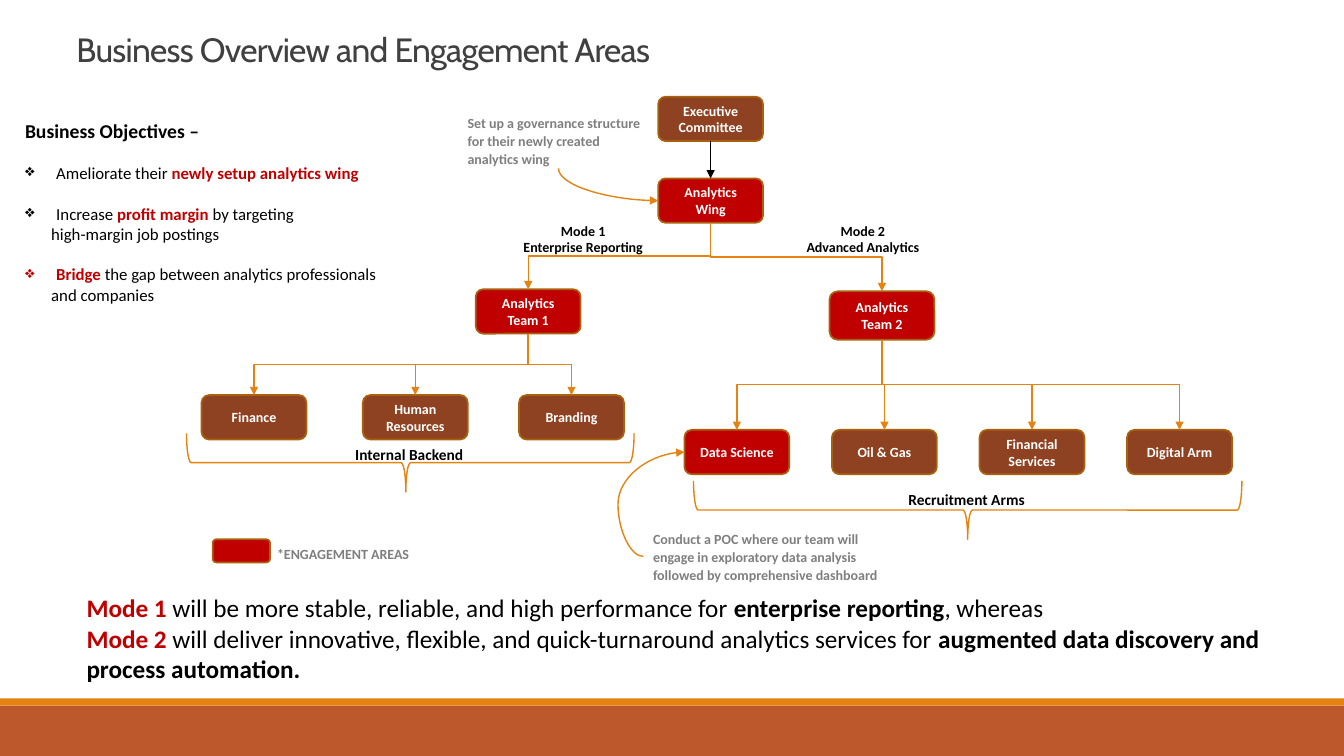
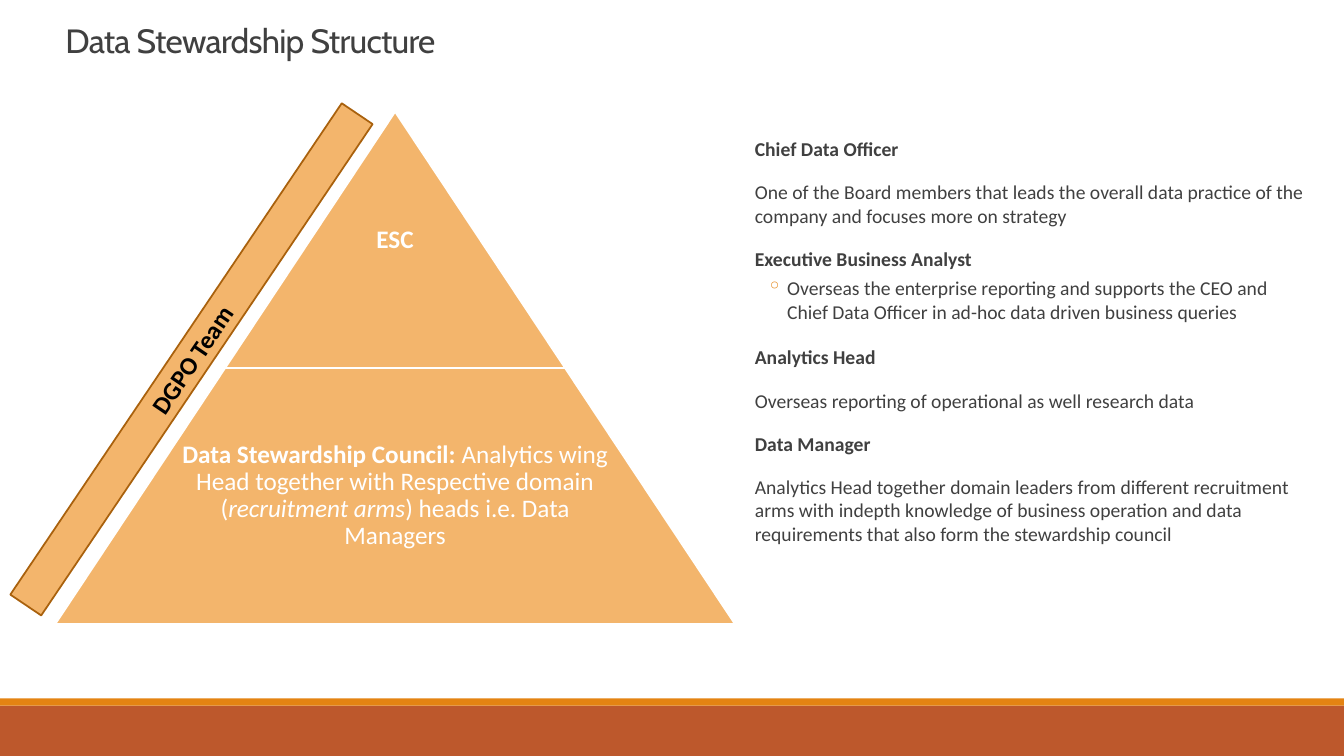
from dataclasses import dataclass

from lxml import etree
from pptx import Presentation
from pptx.dml.color import RGBColor
from pptx.enum.shapes import MSO_CONNECTOR, MSO_SHAPE
from pptx.enum.text import MSO_ANCHOR, PP_ALIGN
from pptx.oxml.ns import qn
from pptx.util import Inches, Pt

RECT, ROUNDED = MSO_SHAPE.RECTANGLE, MSO_SHAPE.ROUNDED_RECTANGLE
TRAPEZOID, BRACE = MSO_SHAPE.TRAPEZOID, MSO_SHAPE.RIGHT_BRACE
STRAIGHT, ELBOW, CURVE = MSO_CONNECTOR.STRAIGHT, MSO_CONNECTOR.ELBOW, MSO_CONNECTOR.CURVE
CENTER, LEFT = PP_ALIGN.CENTER, PP_ALIGN.LEFT
TOP, MIDDLE = MSO_ANCHOR.TOP, MSO_ANCHOR.MIDDLE

COLORS = {
    "footer": "BD582C", "accent": "E48312", "outline": "A9610D",
    "unit": "8E4221", "engaged": "C00000", "pyramid": "F3B56C",
    "title": "404040", "note": "7F7F7F", "black": "000000", "white": "FFFFFF",
}
TITLE_FONT, BODY_FONT = "Cabin", "Calibri"
CELL = Inches(0.1)  # side of one grid square
COLS, ROWS = 133.33, 75
NODE_W, NODE_H = 10.4, 4.4


@dataclass
class Box:
    """A region in grid squares."""
    x: float
    y: float
    w: float
    h: float

    def inner(self, x, y, w, h):
        return Box(self.x + x, self.y + y, w, h)

    def emu(self):
        return [round(v * CELL) for v in (self.x, self.y, self.w, self.h)]


@dataclass
class Para:
    """Paragraph whose runs are strings or (text, font overrides) pairs."""
    runs: list
    size: float = 12
    color: str = "black"
    bold: bool = False
    align: PP_ALIGN = LEFT
    font: str = BODY_FONT
    line: float = 1.0
    before: float = 0
    after: float = 0
    margin: float = 0
    hang: float = 0
    bullet: str = ""
    bullet_color: str = "black"
    spacing: int = 0


def rgb(name):
    return RGBColor.from_string(COLORS[name])


def strong(text):
    return text, {"bold": True}


def key(text):
    return text, {"bold": True, "color": "engaged"}


def write(shape, paras, anchor=TOP, inset=None):
    frame = shape.text_frame
    frame.word_wrap = True
    frame.vertical_anchor = anchor
    if inset is not None:
        frame.margin_left = frame.margin_right = inset
        frame.margin_top = frame.margin_bottom = inset
    for i, para in enumerate(paras):
        p = frame.add_paragraph() if i else frame.paragraphs[0]
        p.alignment, p.line_spacing = para.align, para.line
        p.space_before, p.space_after = Pt(para.before), Pt(para.after)
        props = p._p.get_or_add_pPr()
        props.set("marL", str(Inches(para.margin)))
        props.set("indent", str(-Inches(para.hang)))
        if para.bullet:
            tint = etree.SubElement(props, qn("a:buClr"))
            etree.SubElement(tint, qn("a:srgbClr"), val=COLORS[para.bullet_color])
            etree.SubElement(props, qn("a:buChar"), char=para.bullet)
        p.font.name, p.font.size, p.font.bold = para.font, Pt(para.size), para.bold
        p.font.color.rgb = rgb(para.color)
        for item in para.runs:
            text, style = (item, {}) if isinstance(item, str) else item
            run = p.add_run()
            run.text = text
            if "bold" in style:
                run.font.bold = style["bold"]
            if "italic" in style:
                run.font.italic = style["italic"]
            if "color" in style:
                run.font.color.rgb = rgb(style["color"])
            if para.spacing:
                run._r.get_or_add_rPr().set("spc", str(para.spacing))


def add_text(slide, box, paras, anchor=TOP, inset=None):
    write(slide.shapes.add_textbox(*box.emu()), paras, anchor, inset)


def add_block(slide, kind, box, fill=None, outline=None, width=1.25):
    block = slide.shapes.add_shape(kind, *box.emu())
    block.shadow.inherit = False
    if fill:
        block.fill.solid()
        block.fill.fore_color.rgb = rgb(fill)
    else:
        block.fill.background()
    if outline:
        block.line.color.rgb = rgb(outline)
        block.line.width = Pt(width)
    else:
        block.line.fill.background()
    return block


def base_slide(prs, title, x, y):
    """Blank slide with the shared footer bands and title style."""
    slide = prs.slides.add_slide(prs.slide_layouts[6])
    add_block(slide, RECT, Box(0, 70, COLS, 5), "footer")
    add_block(slide, RECT, Box(0, 69.3, COLS, 0.7), "accent")
    add_text(slide, Box(x, y, 110, 6.6), [
        Para([title], 24, "title", font=TITLE_FONT, line=0.85, spacing=-50)])
    return slide


def add_arrow(slide, kind, start, end, color="accent", turn=0):
    arrow = slide.shapes.add_connector(kind, *[round(v) for v in (*start, *end)])
    arrow.line.color.rgb = rgb(color)
    arrow.line.width = Pt(1)
    props = arrow._element.spPr
    etree.SubElement(arrow.line._get_or_add_ln(), qn("a:tailEnd"), type="triangle")
    etree.SubElement(props, qn("a:effectLst"))
    if turn:
        props.find(qn("a:xfrm")).set("rot", str(turn * 60000))
    return arrow


def add_drop(slide, kind, start, end):
    """Connector that leaves its start downwards."""
    (x1, y1), (x2, y2) = start, end
    mid_x, mid_y = (x1 + x2) / 2, (y1 + y2) / 2
    leftward = x2 < x1
    half_w = (y2 - y1) / 2 * (1 if leftward else -1)
    half_h = abs(x2 - x1) / 2
    return add_arrow(slide, kind, (mid_x - half_w, mid_y - half_h),
                     (mid_x + half_w, mid_y + half_h), turn=90 if leftward else 270)


def geometry(arrow):
    return arrow._element.spPr.find(qn("a:prstGeom"))


def left_middle(shape):
    return shape.left, shape.top + shape.height / 2


def branch(slide, parent, children):
    start = parent.left + parent.width / 2, parent.top + parent.height
    for child in children:
        add_drop(slide, ELBOW, start, (child.left + child.width / 2, child.top))


def add_node(slide, region, label, center, top, fill="unit", height=NODE_H):
    box = region.inner(center - NODE_W / 2, top, NODE_W, height)
    node = add_block(slide, ROUNDED, box, fill, "outline")
    write(node, [Para([line], 10, "white", True, CENTER)
                 for line in label.split("\n")], MIDDLE)
    return node


def add_note(slide, box, text, size=10, color="note", align=LEFT):
    add_text(slide, box, [Para([text], size, color, True, align,
                               line=1.07, before=6, after=6)], MIDDLE)


def add_bracket(slide, box, point):
    """Brace that opens upwards over the width of the box."""
    upright = box.inner((box.w - box.h) / 2, (box.h - box.w) / 2, box.h, box.w)
    brace = add_block(slide, BRACE, upright, outline="accent", width=1)
    brace.adjustments[0], brace.adjustments[1] = 0.08, point
    brace.rotation = 90


def org_chart(slide, region):
    committee = add_node(slide, region, "Executive Committee", 52, 0)
    wing = add_node(slide, region, "Analytics Wing", 52, 8.1, "engaged")
    teams = [add_node(slide, region, "Analytics\nTeam 1", 33.9, 19.1, "engaged"),
             add_node(slide, region, "Analytics\nTeam 2", 69, 19.3, "engaged", 4.8)]
    backend = [add_node(slide, region, label, center, 29.6) for label, center in
               (("Finance", 6.7), ("Human Resources", 22.7), ("Branding", 38.2))]
    arm_names = ("Data Science", "Oil & Gas", "Financial Services", "Digital Arm")
    arms = [add_node(slide, region, label, 54.6 + 14.64 * i, 33.05,
                     "unit" if i else "engaged") for i, label in enumerate(arm_names)]

    mandate = add_arrow(slide, STRAIGHT, (0, 0), (0, 0), "black")
    mandate.begin_connect(committee, 2)
    mandate.end_connect(wing, 0)
    for parent, children in ((wing, teams), (teams[0], backend), (teams[1], arms)):
        branch(slide, parent, children)

    for x, w, lines in ((29.3, 20.1, ("Mode 1", "Enterprise Reporting")),
                        (58.5, 17.2, ("Mode 2", "Advanced Analytics"))):
        add_text(slide, region.inner(x, 11.9, w, NODE_H),
                 [Para([line], 10, bold=True, align=CENTER) for line in lines], MIDDLE)

    add_bracket(slide, region.inner(0, 33.4, 44.4, 5.8), 0.51)
    add_bracket(slide, region.inner(50.3, 38.1, 54.4, 5.8), 0.5)
    for x, y, label in ((4.9, 32.5, "Internal Backend"), (60.2, 37, "Recruitment Arms")):
        add_note(slide, region.inner(x, y, 34.4, 5.8), label, 11, "black", CENTER)

    add_note(slide, region.inner(26.9, 1.7, 20.1, 5.3),
             "Set up a governance structure for their newly created analytics wing")
    add_note(slide, region.inner(45.3, 43.7, 26.5, 3.7),
             "Conduct a POC where our team will engage in exploratory data analysis "
             "followed by comprehensive dashboard")
    x, y = region.inner(36.9, 7.1, 0, 0).emu()[:2]
    governance = add_drop(slide, CURVE, (x, y), left_middle(wing))
    geometry(governance).set("prst", "curvedConnector2")
    x, y = region.inner(45.3, 45.6, 0, 0).emu()[:2]
    poc = add_arrow(slide, CURVE, left_middle(arms[0]), (x, y), turn=180)
    # The turned frame runs from top right to bottom left, so swap its rows
    guides = geometry(poc).find(qn("a:avLst"))
    etree.SubElement(guides, qn("a:gd"), name="adj1", fmla="val -61000")


def legend(slide, region):
    add_block(slide, ROUNDED, region.inner(0, 0.5, 5.7, 2.3), "engaged", "outline")
    add_note(slide, region.inner(5.4, 0, 26.5, 3.7), "*ENGAGEMENT AREAS")


def objectives(slide, region):
    def goal(*runs, mark="black"):
        return Para(runs, before=14.6, margin=0.31, hang=0.31, bullet="❖",
                    bullet_color=mark)

    def continued(text):
        return Para([text], margin=0.26)

    add_text(slide, region, [
        Para(["Business Objectives –"], 14, bold=True),
        goal("Ameliorate their ", key("newly setup analytics wing")),
        goal("Increase ", key("profit margin "), "by targeting"),
        continued("high-margin job postings"),
        goal(key("Bridge "), "the gap between analytics professionals", mark="engaged"),
        continued("and companies"),
    ])


def mode_summary(slide, region):
    add_text(slide, region, [
        Para([key("Mode 1 "), "will be more stable, reliable, and high performance for ",
              strong("enterprise reporting"), ", whereas"], 18),
        Para([key("Mode 2"), " will deliver innovative, flexible, and quick-turnaround "
              "analytics services for ",
              strong("augmented data discovery and process automation.")], 18),
    ])


def pyramid(slide, region):
    tiers = [
        (1, [strong("ESC")]),
        (0.65, [strong("Data Stewardship Council: "),
                "Analytics wing Head together with Respective domain (",
                ("recruitment arms", {"italic": True}),
                ") heads i.e. Data Managers"]),
    ]
    height = region.h / len(tiers)
    for i, (text_share, runs) in enumerate(tiers):
        width = region.w * (i + 1) / len(tiers)
        tier = region.inner((region.w - width) / 2, i * height, width, height)
        block = add_block(slide, TRAPEZOID, tier, "pyramid", "white")
        block.adjustments[0] = region.w / 2 / region.h
        text_w = width * text_share
        add_text(slide, tier.inner((width - text_w) / 2, 0, text_w, height),
                 [Para(runs, 18, "white", align=CENTER, line=0.9)], MIDDLE, Inches(0.03))
    team = add_block(slide, RECT, region.inner(-15.9, 22.7, 58.8, 3.7), "pyramid", "outline")
    team.rotation = 304
    write(team, [Para(["DGPO Team"], 18, bold=True, align=CENTER)], MIDDLE)


def roles(slide, region):
    def line(text, bold=False):
        return Para([text], 14, "title", bold, before=12, after=2, margin=0.1)

    add_text(slide, region, [
        line("Chief Data Officer", True),
        line("One of the Board members that leads the overall data practice of the "
             "company and focuses more on strategy"),
        line("Executive Business Analyst", True),
        Para(["Overseas the enterprise reporting and supports the CEO and Chief Data "
              "Officer in ad-hoc data driven business queries"], 14, "title", before=2,
             after=4, margin=0.42, hang=0.2, bullet="◦", bullet_color="accent"),
        line("Analytics Head", True),
        line("Overseas reporting of operational as well research data"),
        line("Data Manager", True),
        line("Analytics Head together domain leaders from different recruitment arms "
             "with indepth knowledge of business operation and data requirements that "
             "also form the stewardship council"),
    ])


def main():
    prs = Presentation()
    prs.slide_width, prs.slide_height = round(COLS * CELL), ROWS * CELL

    overview = base_slide(prs, "Business Overview and Engagement Areas", 6.6, 3)
    org_chart(overview, Box(18.5, 9.6, 106, 48))
    legend(overview, Box(21.1, 53, 32, 3.7))
    mode_summary(overview, Box(7.6, 58.3, 120.2, 13.1))
    objectives(overview, Box(1.5, 11.3, 55.6, 26.6))

    stewardship = base_slide(prs, "Data Stewardship Structure", 5.5, 2.1)
    roles(stewardship, Box(72.9, 13.1, 57.9, 58.4))
    pyramid(stewardship, Box(5.5, 11.1, 67.4, 50.8))

    prs.save("out.pptx")


if __name__ == "__main__":
    main()
